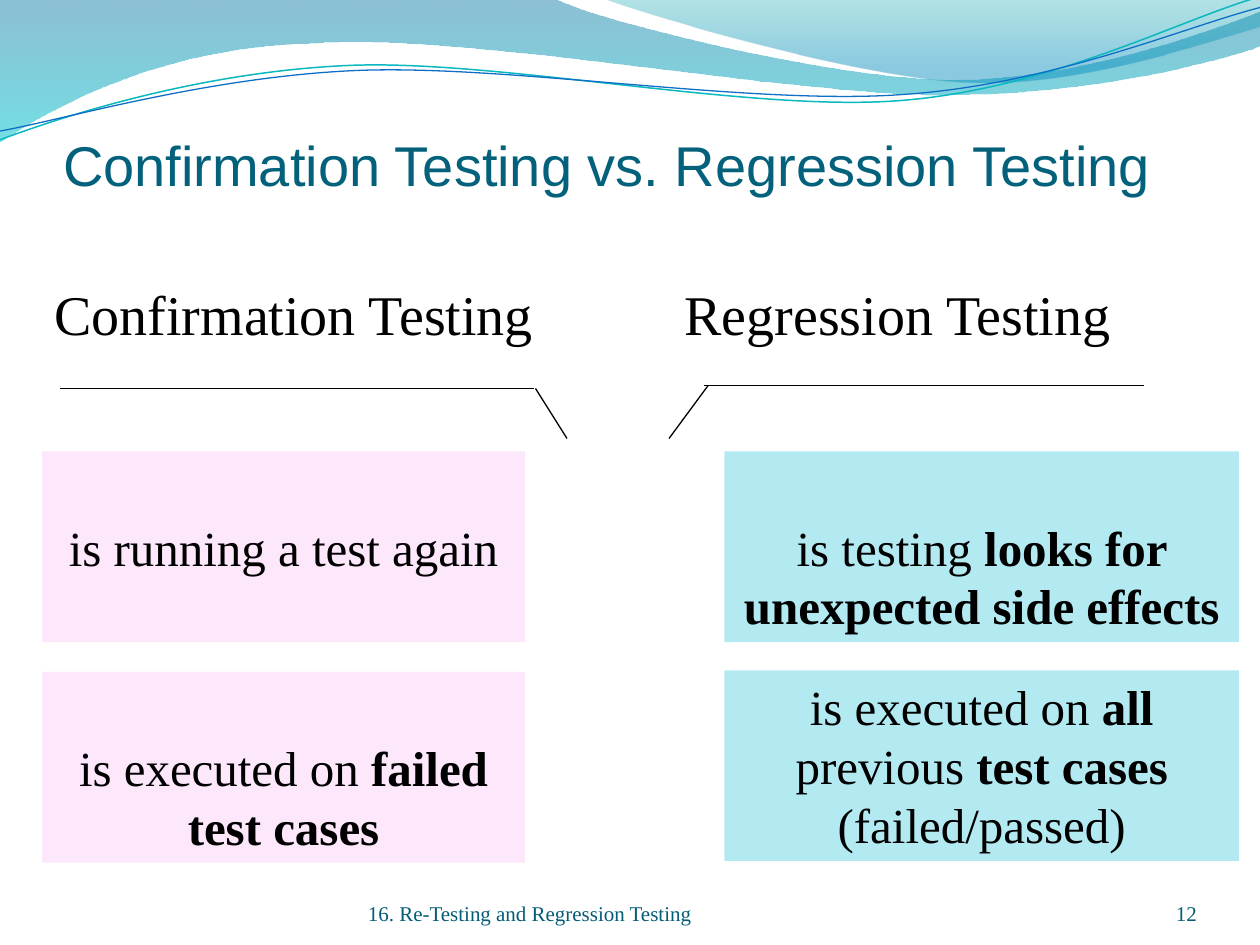
from lxml.etree import SubElement
from pptx import Presentation
from pptx.dml.color import RGBColor
from pptx.enum.shapes import MSO_CONNECTOR, MSO_SHAPE
from pptx.enum.text import MSO_ANCHOR, MSO_AUTO_SIZE, PP_ALIGN
from pptx.oxml import parse_xml
from pptx.oxml.ns import nsdecls, qn
from pptx.util import Inches, Pt

SERIF, SANS = "Times New Roman", "Arial"
BLACK, TEAL, FOOTER = "000000", "04617B", "045D75"
UNIT = 1 / 12  # grid step in inches
TITLE = "Confirmation Testing vs. Regression Testing"

# Headings in grid steps: text, left
HEADINGS = [("Confirmation Testing", 4), ("Regression Testing", 64)]
HEADING_TOP, HEADING_WIDTH, HEADING_HEIGHT = 26, 51, 7.68

# Card columns in grid steps: left, width, fill, then (top, lines above, text); ** marks bold
CARD_HEIGHT, LINE_HEIGHT, CARD_INSET = 18.16, 0.47, 0.05
COLUMNS = [
    (4, 46, "FDE7FA", [
        (43, 1, "is running a test again"),
        (64, 1, "is executed on **failed test cases"),
    ]),
    (69, 49, "B3EAF2", [
        (43, 1, "is testing **looks for unexpected side effects"),
        (63.84, 0, "is executed on **all** previous **test cases** (failed/passed)"),
    ]),
]

# Bracket lines: start, end
LEFT_TOP, RIGHT_TOP, BRACKET_END = 37 * UNIT, 3.06, 3.48
BRACKETS = [
    ((5.59, RIGHT_TOP), (9.08, RIGHT_TOP)), ((0.48, LEFT_TOP), (4.24, LEFT_TOP)),
    ((5.62, RIGHT_TOP), (5.31, BRACKET_END)), ((4.25, LEFT_TOP), (4.5, BRACKET_END)),
]

# Footer: text, left, width, alignment
FOOTERS = [
    ("16. Re-Testing and Regression Testing", 2.92, 3.67, PP_ALIGN.LEFT),
    ("12", 8.67, 0.83, PP_ALIGN.RIGHT),
]

# Waves: two coordinates make a straight step, six make a Bezier curve
FILLED_WAVES = [
    ([(0, 0), (4.4, -0.01), (4.76, 0.17, 6.64, 0.63, 7.58, 0.63),
      (8.53, 0.63, 9.58, 0.26, 10, 0.09), (10.01, 0.36),
      (9.83, 0.44, 8.7, 0.76, 7.46, 0.75), (6.22, 0.75, 3.82, 0.28, 2.57, 0.34),
      (1.29, 0.36, 0.46, 0.83, -0.01, 1.13), (0, 0)],
     [(0, "0074A1", 45), (100, "00C6CF", 55)]),
    ([(4.79, -0.01), (5.09, 0.11, 6.82, 0.62, 7.69, 0.65),
      (8.56, 0.69, 9.61, 0.32, 10, 0.21), (10, 0), (4.79, -0.01)],
     [(0, "00A1A9", 30), (80, "008BBF", 45)]),
]
LINE_WAVES = [
    ([(0, 1.11), (0.48, 0.93, 1.58, 0.57, 2.77, 0.52),
      (3.95, 0.47, 5.93, 0.89, 7.13, 0.8), (8.33, 0.71, 9.38, 0.15, 9.98, -0.02)],
     "0AB8BF", 0.85),
    ([(0, 1.04), (0.47, 0.96, 1.64, 0.61, 2.83, 0.56),
      (4.03, 0.51, 5.97, 0.84, 7.17, 0.75), (8.36, 0.67, 9.41, 0.21, 10, 0.06)],
     "0F6FC6", 0.75),
]


def color(value):
    return RGBColor.from_string(value)


def curve_points(steps, samples=40):
    """Points along the steps, used to find the extent of a wave."""
    points = [steps[0]]
    for step in steps[1:]:
        if len(step) == 2:
            points.append(step)
            continue
        nodes = [points[-1], step[:2], step[2:4], step[4:]]
        for index in range(1, samples + 1):
            t = index / samples
            weights = ((1 - t) ** 3, 3 * t * (1 - t) ** 2, 3 * t * t * (1 - t), t ** 3)
            points.append(tuple(sum(w * node[axis] for w, node in zip(weights, nodes))
                                for axis in (0, 1)))
    return points


def add_wave(page, steps, close):
    columns, rows = zip(*curve_points(steps))
    left, top, right, bottom = map(Inches, (min(columns), min(rows), max(columns), max(rows)))
    builder = page.shapes.build_freeform(left, top)
    builder.add_line_segments([(right, bottom)], close=False)
    wave = builder.convert_to_shape()
    wave.shadow.inherit = False
    # Trace the wave with true curves inside its extent
    outline = next(wave._element.iter(qn("a:path")))
    for child in list(outline):
        outline.remove(child)
    for index, step in enumerate(steps):
        kind = "a:moveTo" if index == 0 else "a:lnTo" if len(step) == 2 else "a:cubicBezTo"
        segment = SubElement(outline, qn(kind))
        for x, y in zip(step[::2], step[1::2]):
            SubElement(segment, qn("a:pt"), x=str(Inches(x) - left), y=str(Inches(y) - top))
    if close:
        SubElement(outline, qn("a:close"))
    return wave


def fill_gradient(shape, stops):
    marks = "".join(
        f'<a:gs pos="{position * 1000}"><a:srgbClr val="{value}">'
        f'<a:alpha val="{alpha * 1000}"/></a:srgbClr></a:gs>'
        for position, value, alpha in stops)
    gradient = parse_xml(f'<a:gradFill {nsdecls("a")} rotWithShape="1"><a:gsLst>{marks}'
                         '</a:gsLst><a:lin ang="5400000" scaled="0"/></a:gradFill>')
    shape._element.spPr.find(qn("a:custGeom")).addnext(gradient)


def grid(*steps):
    return [Inches(step * UNIT) for step in steps]


def set_text(box, text, size, value, font=SERIF, align=PP_ALIGN.LEFT,
             anchor=MSO_ANCHOR.TOP, insets=(0.1, 0.05, 0.1, 0.05)):
    frame = box.text_frame
    frame.word_wrap, frame.auto_size = True, MSO_AUTO_SIZE.NONE
    frame.vertical_anchor = anchor
    (frame.margin_left, frame.margin_top,
     frame.margin_right, frame.margin_bottom) = map(Inches, insets)
    para = frame.paragraphs[0]
    para.alignment = align
    for index, part in enumerate(text.split("**")):
        span = para.add_run()
        span.text = part
        span.font.name, span.font.size = font, Pt(size)
        span.font.bold = index % 2 == 1
        span.font.color.rgb = color(value)


deck = Presentation()
deck.slide_width, deck.slide_height = Inches(10), Inches(7.5)
page = deck.slides.add_slide(deck.slide_layouts[5])

# Wave decoration
for steps, stops in FILLED_WAVES:
    wave = add_wave(page, steps, True)
    fill_gradient(wave, stops)
    wave.line.fill.background()
for steps, value, width in LINE_WAVES:
    wave = add_wave(page, steps, False)
    wave.fill.background()
    wave.line.color.rgb = color(value)
    wave.line.width = Pt(width)

# Title
title = page.shapes.title
title.left, title.top, title.width, title.height = map(Inches, (0.5, 0.67, 9, 0.9))
set_text(title, TITLE, 32, TEAL, SANS, anchor=MSO_ANCHOR.BOTTOM, insets=(0, 0.05, 0, 0))

# Footer and page number
for text, left, width, align in FOOTERS:
    box = page.shapes.add_textbox(*map(Inches, (left, 6.95, width, 0.4)))
    set_text(box, text, 12, FOOTER, align=align, anchor=MSO_ANCHOR.BOTTOM,
             insets=(0, 0, 0, 0))

# Column headings
for text, left in HEADINGS:
    box = page.shapes.add_textbox(*grid(left, HEADING_TOP, HEADING_WIDTH, HEADING_HEIGHT))
    set_text(box, text, 32, BLACK)

# Brackets under the headings
for start, end in BRACKETS:
    line = page.shapes.add_connector(MSO_CONNECTOR.STRAIGHT, *map(Inches, start + end))
    line.line.color.rgb = color(BLACK)
    line.line.width = Pt(0.75)
    SubElement(line._element.spPr, qn("a:effectLst"))

# Cards
for left, width, fill, cards in COLUMNS:
    for top, blank_lines, text in cards:
        card = page.shapes.add_shape(MSO_SHAPE.RECTANGLE, *grid(left, top, width, CARD_HEIGHT))
        card.shadow.inherit = False
        card.fill.solid()
        card.fill.fore_color.rgb = color(fill)
        card.line.fill.background()
        inset = CARD_INSET + blank_lines * LINE_HEIGHT
        set_text(card, text, 28, BLACK, align=PP_ALIGN.CENTER,
                 insets=(0.1, inset, 0.1, CARD_INSET))

deck.save("out.pptx")
